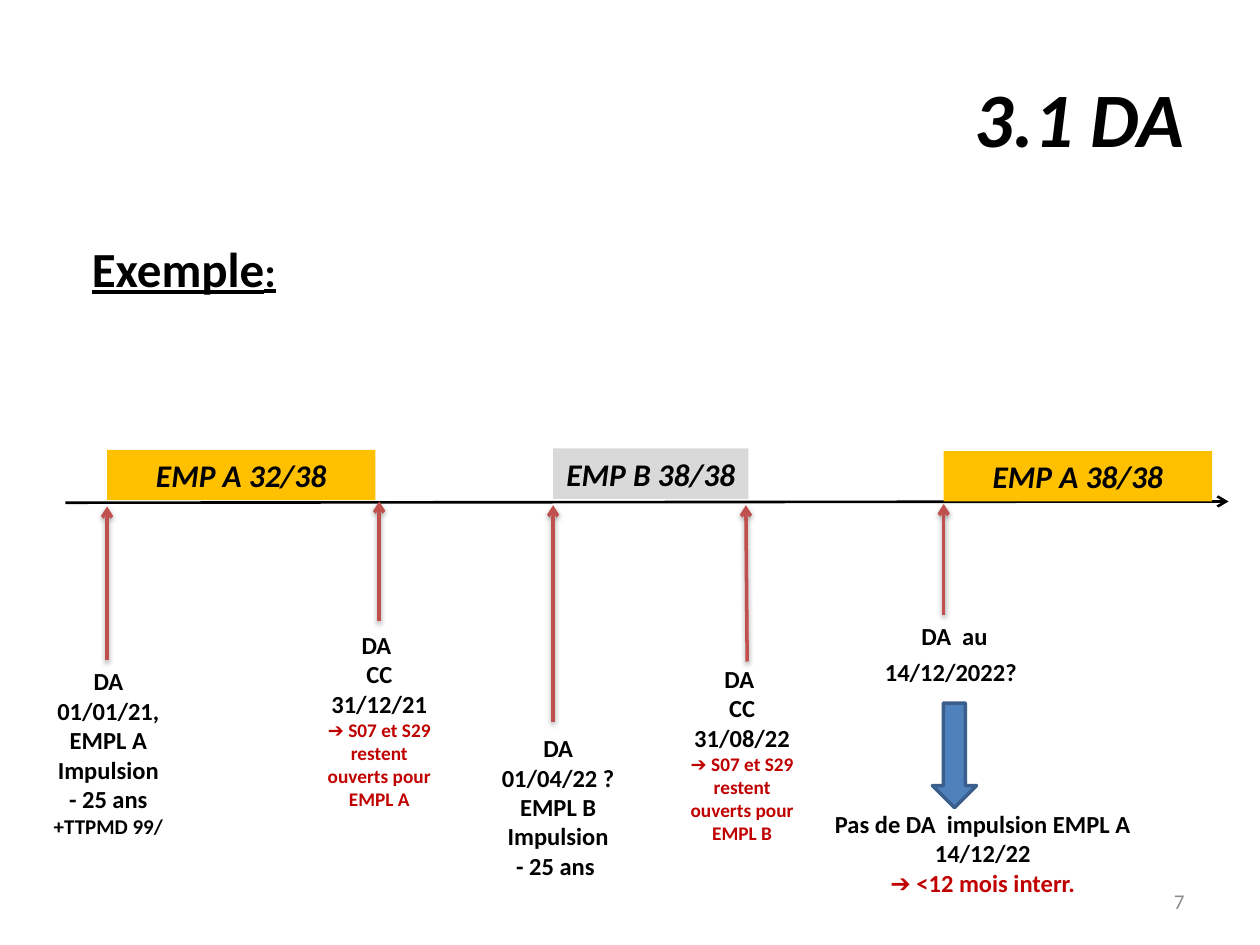
from dataclasses import dataclass

from lxml.etree import SubElement
from pptx import Presentation
from pptx.dml.color import RGBColor
from pptx.enum.shapes import MSO_CONNECTOR, MSO_SHAPE
from pptx.enum.text import MSO_ANCHOR, PP_ALIGN
from pptx.oxml.ns import qn
from pptx.shapes.autoshape import Shape
from pptx.slide import Slide
from pptx.util import Inches, Pt

COLORS = {
    "black": "000000",
    "employer_a": "FFC000",
    "employer_b": "D9D9D9",
    "marker": "C0504D",
    "warning": "C00000",
    "number": "8C8C8C",
    "block": "4F81BD",
    "block_edge": "3A5F8C",
}
WIDTH, HEIGHT = Inches(10), Inches(7.5)
COLUMNS, ROWS = 100, 75
FONT = "Calibri"


@dataclass(frozen=True)
class Box:
    column: float
    row: float
    columns: float
    rows: float

    def place(self) -> tuple[int, int, int, int]:
        return (across(self.column), down(self.row),
                across(self.columns), down(self.rows))


@dataclass(frozen=True)
class Piece:
    text: str
    size: float = 14
    color: str = "black"
    bold: bool = True
    italic: bool = False
    underline: bool = False


@dataclass(frozen=True)
class Label:
    box: Box
    lines: tuple[tuple[Piece, ...], ...]
    alignment: PP_ALIGN = PP_ALIGN.CENTER
    anchor: MSO_ANCHOR = MSO_ANCHOR.TOP


@dataclass(frozen=True)
class Band:
    box: Box
    text: str
    color: str


@dataclass(frozen=True)
class Arrow:
    start: tuple[float, float]
    end: tuple[float, float]
    color: str = "marker"
    weight: float = 2
    shadow: bool = True


def across(columns: float) -> int:
    return round(WIDTH * columns / COLUMNS)


def down(rows: float) -> int:
    return round(HEIGHT * rows / ROWS)


def rgb(name: str) -> RGBColor:
    return RGBColor.from_string(COLORS[name])


def plain(*texts: str) -> tuple[tuple[Piece, ...], ...]:
    return tuple((Piece(text),) for text in texts)


def closing(date: str, employer: str) -> tuple[tuple[Piece, ...], ...]:
    note = Piece(f"➔ S07 et S29 restent ouverts pour {employer}", 11, "warning")
    return plain("DA ", "CC", date) + ((note,),)


def write(shape: Shape, label: Label) -> None:
    frame = shape.text_frame
    frame.word_wrap = True
    frame.vertical_anchor = label.anchor
    frame.text = "\n".join("" for _ in label.lines)
    for paragraph, pieces in zip(frame.paragraphs, label.lines):
        paragraph.alignment = label.alignment
        for piece in pieces:
            run = paragraph.add_run()
            run.text = piece.text
            font = run.font
            font.name, font.size = FONT, Pt(piece.size)
            font.bold, font.italic = piece.bold, piece.italic
            font.underline = piece.underline
            font.color.rgb = rgb(piece.color)


def draw_label(slide: Slide, label: Label) -> None:
    write(slide.shapes.add_textbox(*label.box.place()), label)


def draw_shape(slide: Slide, kind: MSO_SHAPE, box: Box, fill: str) -> Shape:
    shape = slide.shapes.add_shape(kind, *box.place())
    shape.shadow.inherit = False
    shape.fill.solid()
    shape.fill.fore_color.rgb = rgb(fill)
    shape.line.fill.background()
    return shape


def draw_band(slide: Slide, band: Band) -> None:
    shape = draw_shape(slide, MSO_SHAPE.RECTANGLE, band.box, band.color)
    write(shape, Label(band.box, ((Piece(band.text, 18, italic=True),),)))


def draw_arrow(slide: Slide, arrow: Arrow) -> None:
    (left, top), (right, bottom) = arrow.start, arrow.end
    connector = slide.shapes.add_connector(
        MSO_CONNECTOR.STRAIGHT, across(left), down(top), across(right), down(bottom))
    connector.line.color.rgb = rgb(arrow.color)
    connector.line.width = Pt(arrow.weight)
    properties = connector._element.spPr
    SubElement(properties.find(qn("a:ln")), qn("a:tailEnd"), type="arrow")
    effects = SubElement(properties, qn("a:effectLst"))
    if arrow.shadow:
        shadow = SubElement(effects, qn("a:outerShdw"), blurRad=str(Pt(3.1)),
                            dist=str(Pt(1.6)), dir="5400000", rotWithShape="0")
        color = SubElement(shadow, qn("a:srgbClr"), val=COLORS["black"])
        SubElement(color, qn("a:alpha"), val="38000")


BANDS = (
    Band(Box(8.5, 35.7, 21.3, 4), "EMP A 32/38", "employer_a"),
    Band(Box(43.9, 35.6, 15.5, 4), "EMP B 38/38", "employer_b"),
    Band(Box(74.9, 35.8, 21.3, 4), "EMP A 38/38", "employer_a"),
)
AXIS = Arrow((5.2, 39.9), (97.5, 39.8), "black", 1.5, False)
MARKERS = (
    Arrow((8.5, 52.4), (8.5, 40.2)),
    Arrow((30.1, 49.3), (30.1, 39.8)),
    Arrow((43.9, 57.3), (43.9, 40.1)),
    Arrow((59.3, 52.5), (59.2, 40.1)),
    Arrow((74.9, 48.8), (74.9, 40)),
)
LABELS = (
    Label(Box(5, 3, 90, 12.5), ((Piece("3.1 DA", 44, italic=True),),),
          PP_ALIGN.RIGHT, MSO_ANCHOR.MIDDLE),
    Label(Box(6.3, 18.4, 52.8, 5.7),
          ((Piece("Exemple", 28, underline=True), Piece(":", 24, underline=True)),),
          PP_ALIGN.LEFT),
    Label(Box(3, 52.4, 11.2, 14.8),
          plain("DA 01/01/21,", "EMPL A", "Impulsion")
          + ((Piece("- 25 ans"), Piece(" +TTPMD 99/", 12)),)),
    Label(Box(24.5, 49.5, 11.2, 15.5), closing("31/12/21", "EMPL A")),
    Label(Box(38.7, 57.7, 11.2, 12.8),
          plain("DA 01/04/22 ?", "EMPL B", "Impulsion", "- 25 ans ")),
    Label(Box(53.3, 52.2, 11.2, 17.3), closing("31/08/22", "EMPL B")),
    Label(Box(67.3, 48.8, 16.9, 6.4),
          ((Piece("DA  au 14/12/2022?"), Piece(" ", 18)),)),
    Label(Box(63.5, 63.7, 29, 9.9),
          plain("Pas de DA  impulsion EMPL A", "14/12/22")
          + ((Piece("➔ <12 mois interr.", color="warning"),),)),
    Label(Box(71.7, 69.5, 23.3, 4), ((Piece("7", 12, "number", False),),),
          PP_ALIGN.RIGHT, MSO_ANCHOR.MIDDLE),
)


def main() -> None:
    presentation = Presentation()
    presentation.slide_width, presentation.slide_height = WIDTH, HEIGHT
    slide = presentation.slides.add_slide(presentation.slide_layouts[6])
    for band in BANDS[:2]:
        draw_band(slide, band)
    draw_arrow(slide, AXIS)
    draw_band(slide, BANDS[2])
    for marker in MARKERS:
        draw_arrow(slide, marker)
    for label in LABELS:
        draw_label(slide, label)
    block = draw_shape(slide, MSO_SHAPE.DOWN_ARROW, Box(74, 55.8, 3.5, 8.3), "block")
    block.line.color.rgb = rgb("block_edge")
    block.line.width = Pt(2)
    presentation.save("out.pptx")


if __name__ == "__main__":
    main()
